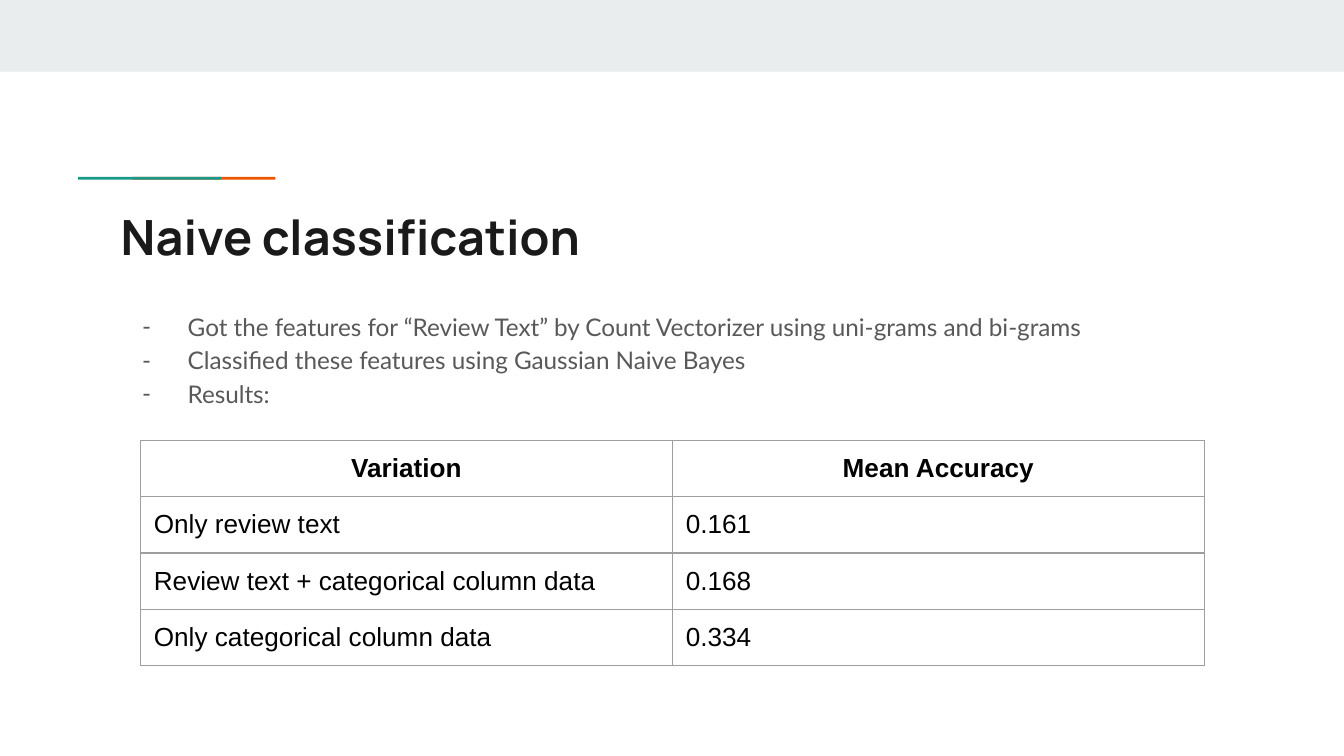
from lxml.etree import SubElement
from pptx import Presentation
from pptx.dml.color import RGBColor
from pptx.enum.shapes import MSO_SHAPE
from pptx.enum.text import MSO_ANCHOR, MSO_AUTO_SIZE, PP_ALIGN
from pptx.oxml.ns import qn
from pptx.util import Pt

BAND = RGBColor(0xE9, 0xED, 0xEE)
ORANGE = RGBColor(0xEB, 0x56, 0x00)
TEAL = RGBColor(0x1A, 0x99, 0x88)
INK = RGBColor(0x1A, 0x1A, 0x1A)
GRAY = RGBColor(0x59, 0x59, 0x59)
BORDER = RGBColor(0x9E, 0x9E, 0x9E)
BLACK = RGBColor(0, 0, 0)

POINTS = [
    "Got the features for “Review Text” by Count Vectorizer using uni-grams and bi-grams",
    "Classified these features using Gaussian Naive Bayes",
    "Results:",
]
RESULTS = [
    ("Variation", "Mean Accuracy"),
    ("Only review text", "0.161"),
    ("Review text + categorical column data", "0.168"),
    ("Only categorical column data", "0.334"),
]


class SlideBuilder:
    heading_font = "Manrope"
    body_font = "Lato"
    table_font = "Arial"
    inset = Pt(7.2)

    def __init__(self, slide):
        self.slide = slide

    def set_font(self, paragraph, name, size, color, bold=False):
        font = paragraph.font
        font.name, font.size, font.bold = name, Pt(size), bold
        font.color.rgb = color

    def set_margins(self, target):
        target.margin_left = target.margin_right = self.inset
        target.margin_top = target.margin_bottom = self.inset

    def set_frame(self, frame):
        self.set_margins(frame)
        frame.word_wrap = True
        frame.auto_size = MSO_AUTO_SIZE.NONE
        frame.vertical_anchor = MSO_ANCHOR.TOP

    def bar(self, left, top, width, height, color):
        shape = self.slide.shapes.add_shape(
            MSO_SHAPE.RECTANGLE, Pt(left), Pt(top), Pt(width), Pt(height))
        shape.shadow.inherit = False
        shape.fill.solid()
        shape.fill.fore_color.rgb = color
        shape.line.fill.background()

    def title(self, text, left, top, width, height):
        shape = self.slide.shapes.title
        shape.left, shape.top = Pt(left), Pt(top)
        shape.width, shape.height = Pt(width), Pt(height)
        self.set_frame(shape.text_frame)
        shape.text_frame.text = text
        paragraph = shape.text_frame.paragraphs[0]
        paragraph.alignment = PP_ALIGN.LEFT
        self.set_font(paragraph, self.heading_font, 26, INK, True)

    def bullets(self, lines, left, top, width, height):
        shape = self.slide.shapes.add_textbox(Pt(left), Pt(top), Pt(width), Pt(height))
        frame = shape.text_frame
        self.set_frame(frame)
        frame.text = "\n".join(lines)
        for paragraph in frame.paragraphs:
            paragraph.line_spacing = 1.15
            self.set_font(paragraph, self.body_font, 13, GRAY)
            self.dash(paragraph)

    def dash(self, paragraph):
        properties = paragraph._p.get_or_add_pPr()
        properties.set("marL", str(Pt(36)))
        properties.set("indent", str(Pt(-24.5)))
        color = properties.makeelement(qn("a:buClr"), {})
        SubElement(color, qn("a:srgbClr"), val=str(GRAY))
        font = properties.makeelement(qn("a:buFont"), {"typeface": self.body_font})
        character = properties.makeelement(qn("a:buChar"), {"char": "-"})
        spacing = properties.find(qn("a:lnSpc"))
        for element in (character, font, color):
            spacing.addnext(element)

    def table(self, rows, left, top, column_width, row_height):
        columns = len(rows[0])
        table = self.slide.shapes.add_table(
            len(rows), columns, Pt(left), Pt(top),
            Pt(column_width * columns), Pt(row_height * len(rows))).table
        table.first_row = table.horz_banding = False
        for column in table.columns:
            column.width = Pt(column_width)
        for row_index, values in enumerate(rows):
            table.rows[row_index].height = Pt(row_height)
            for column_index, value in enumerate(values):
                self.cell(table.cell(row_index, column_index), value, row_index == 0)

    def cell(self, cell, text, header):
        cell.text = text
        self.set_margins(cell)
        paragraph = cell.text_frame.paragraphs[0]
        paragraph.alignment = PP_ALIGN.CENTER if header else PP_ALIGN.LEFT
        self.set_font(paragraph, self.table_font, 14, BLACK, header)
        properties = cell._tc.get_or_add_tcPr()
        for side in ("a:lnL", "a:lnR", "a:lnT", "a:lnB"):
            line = SubElement(properties, qn(side), w=str(Pt(0.75)))
            fill = SubElement(line, qn("a:solidFill"))
            SubElement(fill, qn("a:srgbClr"), val=str(BORDER))
        cell.fill.background()


def main():
    presentation = Presentation()
    presentation.slide_width, presentation.slide_height = Pt(720), Pt(405)
    slide = presentation.slides.add_slide(presentation.slide_layouts[5])
    builder = SlideBuilder(slide)
    builder.bar(0, 0, 720, 38.4, BAND)
    for left, color in ((71, ORANGE), (41.8, TEAL)):
        builder.bar(left, 94.8, 76.5, 1.5, color)
    builder.title("Naive classification", 57.5, 103.8, 605.5, 42.5)
    builder.bullets(POINTS, 57.5, 157.7, 605.5, 216.7)
    builder.table(RESULTS, 75.2, 235.9, 285, 30.1)
    presentation.save("out.pptx")


if __name__ == "__main__":
    main()
